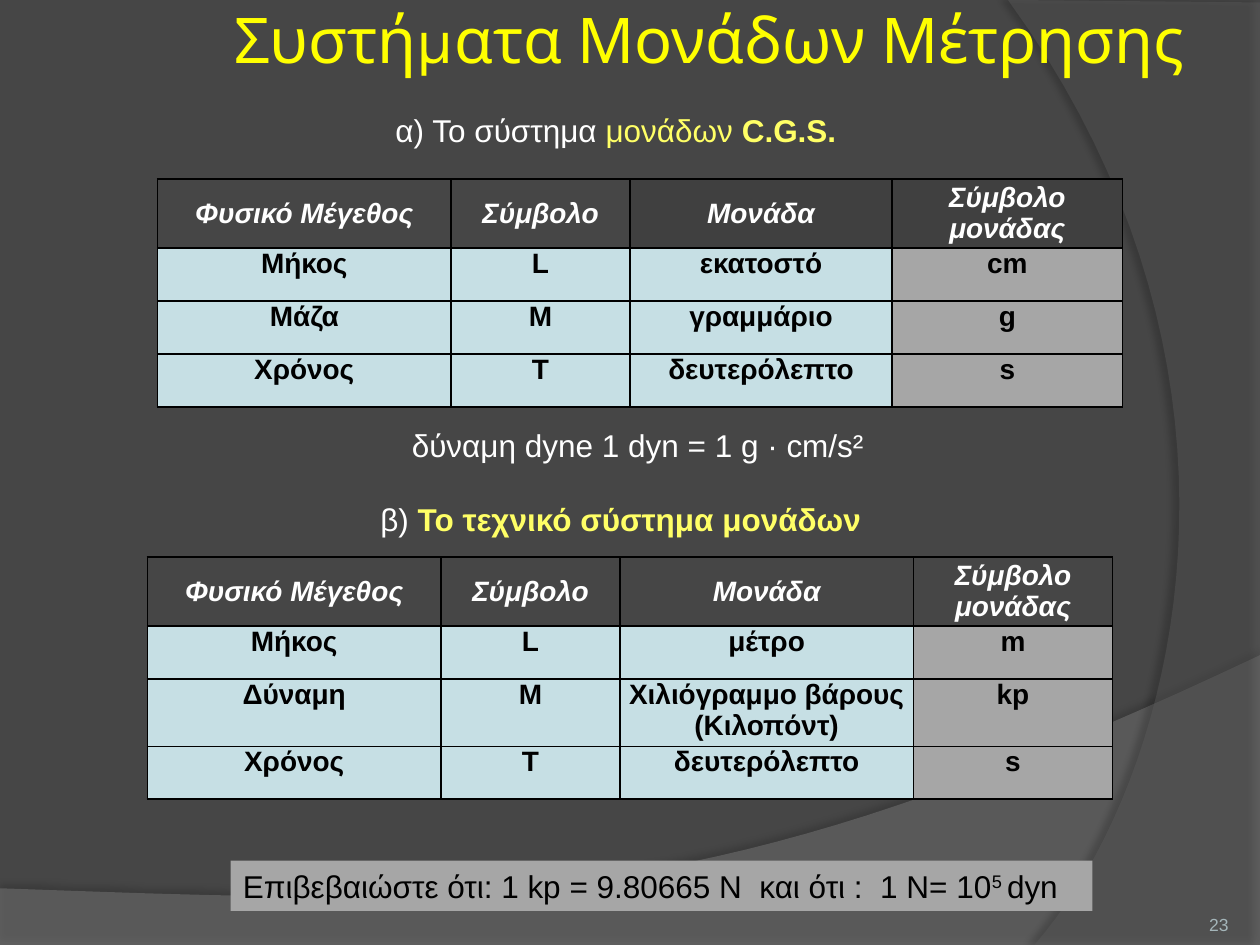
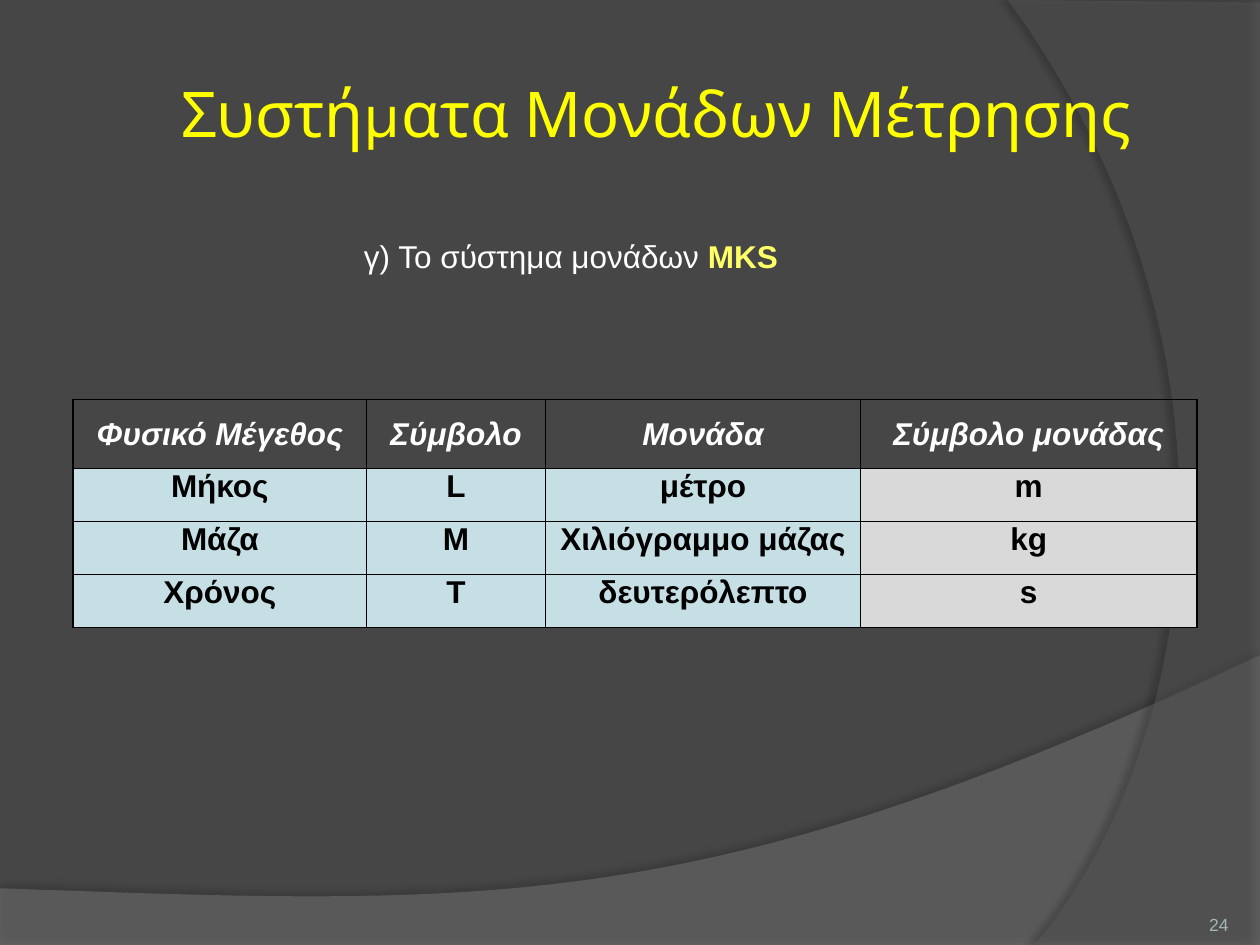
"""Build two slides on systems of measurement units."""
from dataclasses import dataclass

from lxml import etree
from pptx import Presentation
from pptx.dml.color import RGBColor
from pptx.enum.text import MSO_ANCHOR, PP_ALIGN
from pptx.oxml.ns import qn
from pptx.util import Inches, Pt

CENTER, LEFT, RIGHT = PP_ALIGN.CENTER, PP_ALIGN.LEFT, PP_ALIGN.RIGHT
TOP, MIDDLE, BOTTOM = MSO_ANCHOR.TOP, MSO_ANCHOR.MIDDLE, MSO_ANCHOR.BOTTOM

BACKGROUND = RGBColor(0x46, 0x46, 0x46)
BAND_LOW = RGBColor(0x7F, 0x7F, 0x7F)
BAND_RIGHT = RGBColor(0x5E, 0x5E, 0x5E)
TITLE_YELLOW = RGBColor(0xFF, 0xFF, 0x00)
SOFT_YELLOW = RGBColor(0xFF, 0xFF, 0x66)
WHITE = RGBColor(0xFF, 0xFF, 0xFF)
BLACK = RGBColor(0x00, 0x00, 0x00)
NUMBER_GREY = RGBColor(0xA4, 0xB5, 0xB9)
HEADER_DARK = RGBColor(0x40, 0x40, 0x40)
PALE_BLUE = RGBColor(0xC6, 0xDF, 0xE4)
MID_GREY = RGBColor(0xA6, 0xA6, 0xA6)
LIGHT_GREY = RGBColor(0xD9, 0xD9, 0xD9)

TITLE = "Συστήματα Μονάδων Μέτρησης"
TITLE_FONT, BODY_FONT = "Karla", "Arial"
HEADERS = ("Φυσικό Μέγεθος", "Σύμβολο", "Μονάδα", "Σύμβολο μονάδας")
HEADER_HEIGHT, ROW_HEIGHT = 0.55, 0.42
CURVE_STEPS = 40


@dataclass(frozen=True)
class Band:
    """A curved background band: a Bezier edge closed by straight corners."""
    curve: tuple
    corners: tuple
    color: RGBColor
    opacity: int
    shadow_opacity: int
    shadow_distance: float
    shadow_angle: int


@dataclass(frozen=True)
class Run:
    """A piece of text with its own look."""
    text: str
    color: RGBColor = WHITE
    bold: bool = False
    superscript: bool = False


@dataclass(frozen=True)
class Line:
    """A one-line text box, filled when a fill is given."""
    left: float
    top: float
    width: float
    runs: tuple
    fill: RGBColor | None = None


@dataclass(frozen=True)
class UnitTable:
    """A table of quantities with their units."""
    left: float
    top: float
    widths: tuple
    rows: tuple
    size: int
    symbol_fill: RGBColor
    header_fills: tuple = (None,) * 4


@dataclass(frozen=True)
class UnitSlide:
    """The content of one slide."""
    number: int
    title_left: float
    title_top: float
    tables: tuple
    lines: tuple


BANDS = (
    Band(((10, 5.2), (5.59, 7.29), (3.91, 7.19), (0, 7.05)),
         ((0, 7.5), (10, 7.5)), BAND_LOW, 45, 35, 3.5, 270),
    Band(((8.21, 7.5), (9.35, 6.19), (10.18, 3), (8, 0)),
         ((10, 0.02), (10, 7.5)), BAND_RIGHT, 40, 45, 4, 180),
)

SLIDES = (
    UnitSlide(
        23, 1.42, 0.08,
        (UnitTable(1.25, 1.42, (2.33, 1.42, 2.08, 1.83),
                   (("Μήκος", "L", "εκατοστό", "cm"),
                    ("Μάζα", "M", "γραμμάριο", "g"),
                    ("Χρόνος", "T", "δευτερόλεπτο", "s")),
                   16, MID_GREY, (None, None, HEADER_DARK, HEADER_DARK)),
         UnitTable(1.17, 4.42, (2.33, 1.42, 2.33, 1.58),
                   (("Μήκος", "L", "μέτρο", "m"),
                    ("Δύναμη", "M", "Χιλιόγραμμο βάρους (Κιλοπόντ)", "kp"),
                    ("Χρόνος", "T", "δευτερόλεπτο", "s")),
                   16, MID_GREY)),
        (Line(3.04, 0.83, 4.04, (Run("α) Το σύστημα "), Run("μονάδων ", SOFT_YELLOW),
                                 Run("C.G.S.", SOFT_YELLOW, True))),
         Line(2.92, 3.92, 4.42, (Run("β) "),
                                 Run("Το τεχνικό σύστημα μονάδων", SOFT_YELLOW, True))),
         Line(3.17, 3.33, 4, (Run("δύναμη dyne 1 dyn = 1 g · cm/s²"),)),
         Line(1.83, 6.83, 6.84,
              (Run("Επιβεβαιώστε ότι: 1 kp = 9.80665 N  και ότι :  1 Ν= 10", BLACK),
               Run("5 ", BLACK, superscript=True), Run("dyn", BLACK)), MID_GREY)),
    ),
    UnitSlide(
        24, 1, 0.67,
        (UnitTable(0.58, 3.17, (2.33, 1.42, 2.5, 2.67),
                   (("Μήκος", "L", "μέτρο", "m"),
                    ("Μάζα", "M", "Χιλιόγραμμο μάζας", "kg"),
                    ("Χρόνος", "T", "δευτερόλεπτο", "s")),
                   18, LIGHT_GREY),),
        (Line(2.79, 1.83, 4.46, (Run("γ) Το σύστημα μονάδων "),
                                 Run("MKS", SOFT_YELLOW, True))),),
    ),
)


def style_font(font, name: str, size: float, color: RGBColor,
               bold: bool = False, italic: bool = False) -> None:
    """Set the look of a font."""
    font.name, font.size, font.bold, font.italic = name, Pt(size), bold, italic
    font.color.rgb = color


def set_insets(box, left: float, top: float, right: float, bottom: float) -> None:
    """Set the inner margins of a text frame or cell."""
    box.margin_left, box.margin_top = Inches(left), Inches(top)
    box.margin_right, box.margin_bottom = Inches(right), Inches(bottom)


def curve_points(curve: tuple) -> list:
    """Return points along a cubic Bezier curve in inches."""
    points = []
    for step in range(CURVE_STEPS + 1):
        t = step / CURVE_STEPS
        weights = ((1 - t) ** 3, 3 * t * (1 - t) ** 2, 3 * t ** 2 * (1 - t), t ** 3)
        points.append(tuple(sum(w * p[axis] for w, p in zip(weights, curve))
                            for axis in (0, 1)))
    return points


def add_alpha(color_element, percent: int) -> None:
    """Give a colour element an opacity."""
    etree.SubElement(color_element, qn("a:alpha"), val=str(percent * 1000))


def add_band(s, band: Band, position: int) -> None:
    """Draw a translucent band with a soft shadow behind the other shapes."""
    points = [(Inches(x), Inches(y))
              for x, y in (*curve_points(band.curve), *band.corners)]
    builder = s.shapes.build_freeform(*points[0])
    builder.add_line_segments(points[1:], close=True)
    sp = builder.convert_to_shape()
    sp.fill.solid()
    sp.fill.fore_color.rgb = band.color
    sp.line.fill.background()
    add_alpha(sp.element.spPr.find(qn("a:solidFill"))[0], band.opacity)
    sp.shadow.inherit = False
    shadow = etree.SubElement(
        sp.element.spPr.find(qn("a:effectLst")), qn("a:outerShdw"),
        blurRad=str(Pt(4)), dist=str(Pt(band.shadow_distance)),
        dir=str(band.shadow_angle * 60000), rotWithShape="0")
    add_alpha(etree.SubElement(shadow, qn("a:srgbClr"), val=str(BLACK)),
              band.shadow_opacity)
    s.shapes.element.insert(position, sp.element)


def add_title(s, left: float, top: float) -> None:
    """Place and format the slide title."""
    sp = s.shapes.title
    sp.left, sp.top, sp.width, sp.height = map(Inches, (left, top, 8.42, 1))
    tf = sp.text_frame
    tf.text = TITLE
    tf.word_wrap = True
    tf.vertical_anchor = MIDDLE
    set_insets(tf, 0.05, 0, 0.05, 0.55)
    p = tf.paragraphs[0]
    p.alignment = CENTER
    style_font(p.runs[0].font, TITLE_FONT, 36, TITLE_YELLOW)


def add_number(s, number: int) -> None:
    """Write the slide number in the lower right corner."""
    sp = s.shapes.add_textbox(Inches(8.92), Inches(7.02), Inches(0.83), Inches(0.4))
    tf = sp.text_frame
    tf.text = str(number)
    tf.word_wrap = True
    tf.vertical_anchor = BOTTOM
    set_insets(tf, 0, 0, 0, 0)
    p = tf.paragraphs[0]
    p.alignment = RIGHT
    style_font(p.runs[0].font, BODY_FONT, 10, NUMBER_GREY)


def add_line(s, line: Line) -> None:
    """Add a one-line text box made of runs."""
    sp = s.shapes.add_textbox(Inches(line.left), Inches(line.top),
                              Inches(line.width), Inches(0.4))
    if line.fill is not None:
        sp.fill.solid()
        sp.fill.fore_color.rgb = line.fill
    sp.text_frame.word_wrap = True
    p = sp.text_frame.paragraphs[0]
    p.alignment = LEFT
    for run in line.runs:
        r = p.add_run()
        r.text = run.text
        style_font(r.font, BODY_FONT, 18, run.color, run.bold)
        if run.superscript:
            r.font._element.set("baseline", "30000")


def add_borders(cell) -> None:
    """Draw a thin black line on every side of a cell."""
    properties = cell._tc.get_or_add_tcPr()
    for side in ("a:lnL", "a:lnR", "a:lnT", "a:lnB"):
        border = etree.SubElement(properties, qn(side), w=str(Pt(1)))
        fill = etree.SubElement(border, qn("a:solidFill"))
        etree.SubElement(fill, qn("a:srgbClr"), val=str(BLACK))


def format_cell(cell, text: str, size: int, fill: RGBColor | None, header: bool) -> None:
    """Fill in and format one table cell."""
    cell.text = text
    set_insets(cell, 0.06, 0, 0.06, 0)
    cell.vertical_anchor = MIDDLE if header else TOP
    add_borders(cell)
    if fill is None:
        cell.fill.background()
    else:
        cell.fill.solid()
        cell.fill.fore_color.rgb = fill
    p = cell.text_frame.paragraphs[0]
    p.alignment = CENTER
    style_font(p.runs[0].font, BODY_FONT, size, WHITE if header else BLACK, True, header)


def add_unit_table(s, spec_table: UnitTable) -> None:
    """Add a table with a header row and one row per quantity."""
    rows = (HEADERS, *spec_table.rows)
    heights = (HEADER_HEIGHT, *(ROW_HEIGHT for _ in spec_table.rows))
    table = s.shapes.add_table(
        len(rows), len(HEADERS), Inches(spec_table.left), Inches(spec_table.top),
        Inches(sum(spec_table.widths)), Inches(sum(heights))).table
    table.horz_banding = False
    for column, width in zip(table.columns, spec_table.widths):
        column.width = Inches(width)
    body_fills = (PALE_BLUE,) * 3 + (spec_table.symbol_fill,)
    for i, (texts, height) in enumerate(zip(rows, heights)):
        table.rows[i].height = Inches(height)
        fills = body_fills if i else spec_table.header_fills
        for j, (text, fill) in enumerate(zip(texts, fills)):
            format_cell(table.cell(i, j), text, spec_table.size, fill, i == 0)


def add_unit_slide(prs, content: UnitSlide) -> None:
    """Build one slide from its content."""
    s = prs.slides.add_slide(prs.slide_layouts.get_by_name("Title Only"))
    s.background.fill.solid()
    s.background.fill.fore_color.rgb = BACKGROUND
    for position, band in enumerate(BANDS, start=2):
        add_band(s, band, position)
    add_title(s, content.title_left, content.title_top)
    add_number(s, content.number)
    for table in content.tables:
        add_unit_table(s, table)
    for line in content.lines:
        add_line(s, line)


def main() -> None:
    """Build and save the presentation."""
    prs = Presentation()
    prs.slide_width, prs.slide_height = Inches(10), Inches(7.5)
    for content in SLIDES:
        add_unit_slide(prs, content)
    prs.save("out.pptx")


if __name__ == "__main__":
    main()
